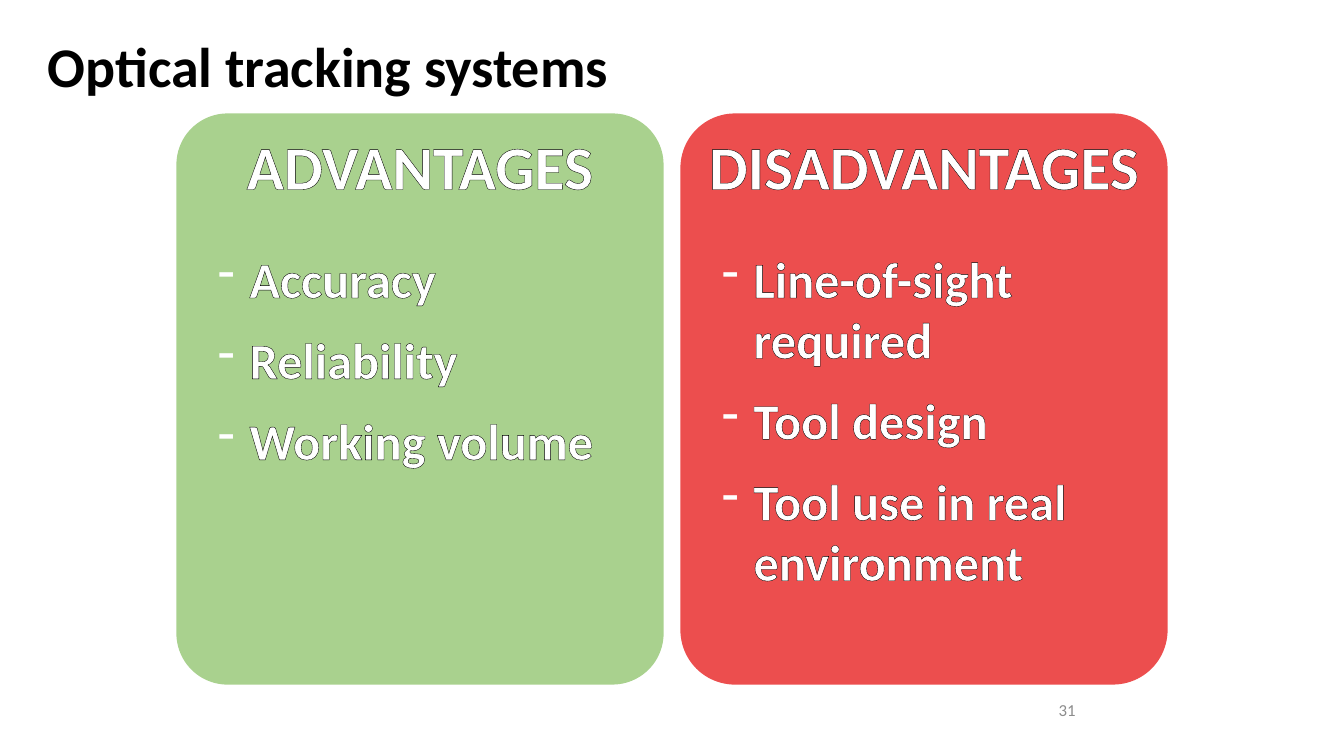
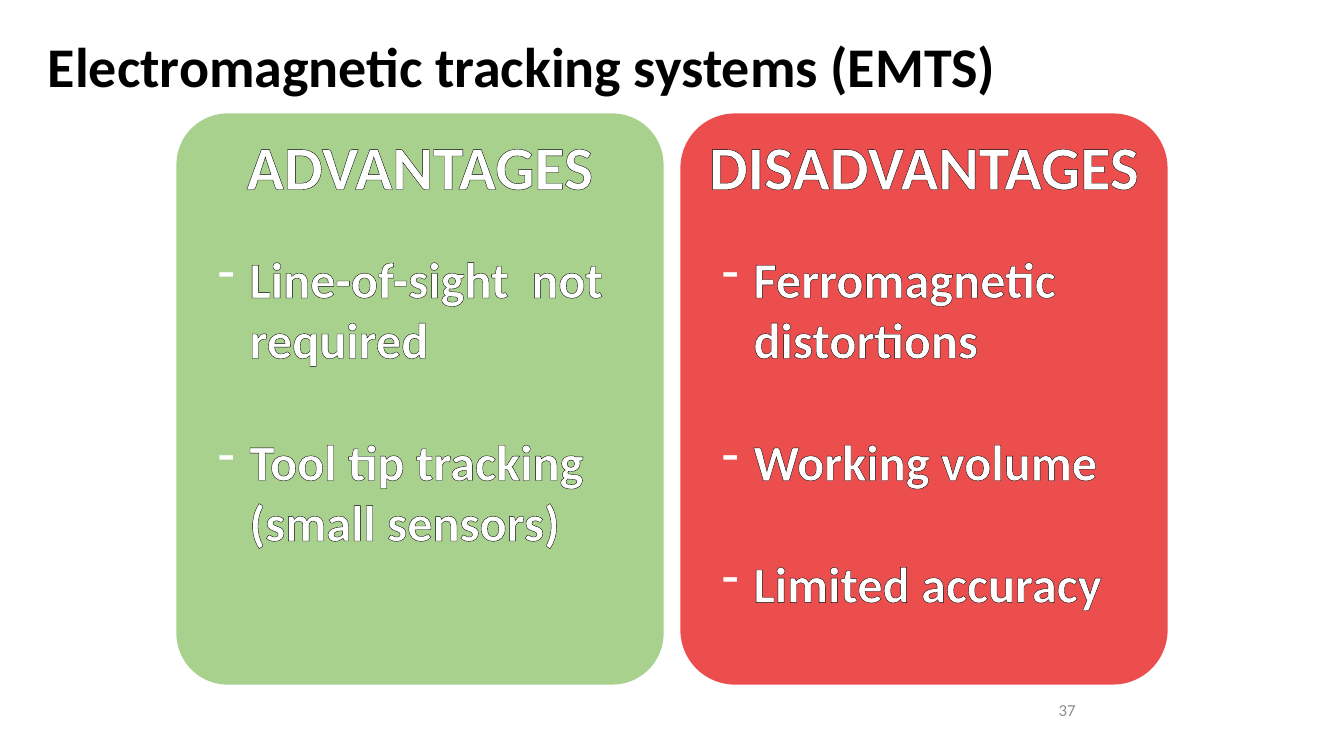
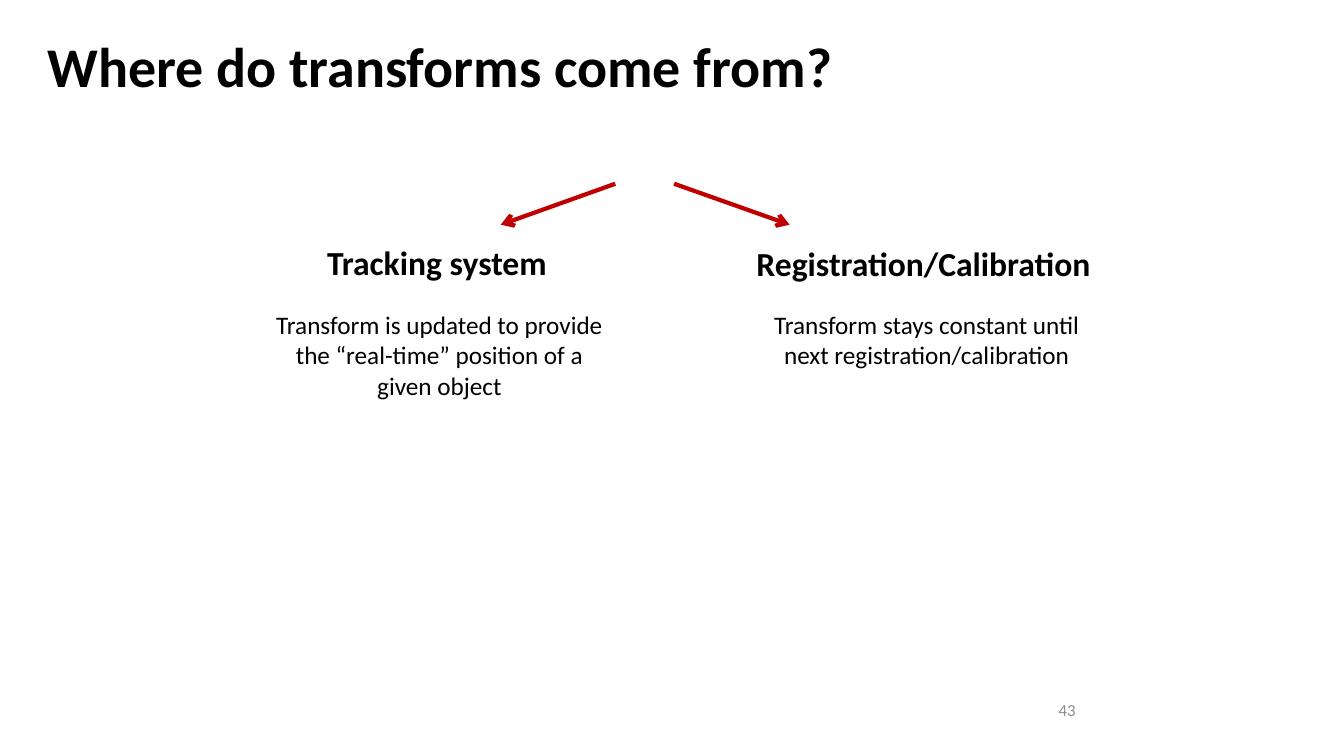
from dataclasses import dataclass

from lxml import etree
from pptx import Presentation
from pptx.dml.color import RGBColor
from pptx.enum.shapes import MSO_CONNECTOR, MSO_SHAPE
from pptx.enum.text import MSO_ANCHOR, MSO_AUTO_SIZE, PP_ALIGN
from pptx.oxml.ns import qn
from pptx.util import Emu, Pt

ROUNDED = MSO_SHAPE.ROUNDED_RECTANGLE
STRAIGHT = MSO_CONNECTOR.STRAIGHT
LEFT, CENTER, RIGHT = PP_ALIGN.LEFT, PP_ALIGN.CENTER, PP_ALIGN.RIGHT
TOP, MIDDLE = MSO_ANCHOR.TOP, MSO_ANCHOR.MIDDLE
NO_AUTOFIT = MSO_AUTO_SIZE.NONE
EMU_PER_PX = 9525
TITLE_ONLY, TWO_CONTENT = 5, 3


@dataclass(frozen=True)
class TextStyle:
    size: int
    color: str
    bold: bool = False
    outlined: bool = False


@dataclass(frozen=True)
class Theme:
    font: str = "Calibri"
    green: str = "A9D18E"
    red: str = "EC4E4E"
    arrow: str = "C00000"
    outline: str = "000000"
    arrow_width: int = 3
    outline_width: float = 0.75
    title: TextStyle = TextStyle(40, "000000", True)
    heading: TextStyle = TextStyle(44, "FFFFFF", True, True)
    item: TextStyle = TextStyle(36, "FFFFFF", True, True)
    label: TextStyle = TextStyle(24, "000000", True)
    description: TextStyle = TextStyle(18, "000000")
    number: TextStyle = TextStyle(12, "8C8C8C")


THEME = Theme()


@dataclass(frozen=True)
class Box:
    left: int
    top: int
    width: int
    height: int


@dataclass(frozen=True)
class Card:
    heading: str
    color: str
    corner: float


@dataclass(frozen=True)
class ItemList:
    items: tuple[str, ...]
    height: int


@dataclass(frozen=True)
class Comparison:
    title: str
    number: int
    gap: float
    lists: tuple[ItemList, ItemList]


@dataclass(frozen=True)
class Source:
    label: str
    label_box: Box
    description: str
    description_box: Box
    arrow_start: int
    arrow_end: int


TITLE_BOX = Box(36, 21, 1198, 91)
NUMBER_BOX = Box(985, 657, 49, 38)
CARD_BOX = Box(168, 108, 464, 544)
CARD_STEP = CARD_BOX.width + 16
HEADING_HEIGHT = 98
LIST_TOP = 231
LIST_INSET = 30
BULLET_INDENT = 30
ARROW_TOP, ARROW_BOTTOM = 175, 214

CARDS = (
    Card("ADVANTAGES", THEME.green, 0.105),
    Card("DISADVANTAGES", THEME.red, 0.112),
)
COMPARISONS = (
    Comparison("Optical tracking systems", 31, 14.6, (
        ItemList(("Accuracy", "Reliability", "Working volume"), 223),
        ItemList(("Line-of-sight required", "Tool design",
                  "Tool use in real environment"), 349),
    )),
    Comparison("Electromagnetic tracking systems (EMTS)", 37, 44, (
        ItemList(("Line-of-sight  not required",
                  "Tool tip tracking (small sensors)"), 300),
        ItemList(("Ferromagnetic distortions", "Working volume",
                  "Limited accuracy"), 359),
    )),
)
SOURCES = (
    Source("Tracking system", Box(302, 226, 230, 48),
           "Transform is updated to provide the “real-time” position of a given object",
           Box(247, 290, 343, 97), 586, 477),
    Source("Registration/Calibration", Box(711, 227, 342, 48),
           "Transform stays constant until next registration/calibration",
           Box(711, 290, 343, 68), 642, 752),
)


def px(length: int) -> Emu:
    return Emu(length * EMU_PER_PX)


def edges(box: Box) -> tuple[Emu, Emu, Emu, Emu]:
    return px(box.left), px(box.top), px(box.width), px(box.height)


def place(shape, box: Box) -> None:
    shape.left, shape.top, shape.width, shape.height = edges(box)


def format_paragraph(paragraph, style: TextStyle, alignment=LEFT) -> None:
    paragraph.alignment = alignment
    for run in paragraph.runs:
        run.font.name = THEME.font
        run.font.size = Pt(style.size)
        run.font.bold = style.bold
        run.font.color.rgb = RGBColor.from_string(style.color)
        if style.outlined:
            line = etree.Element(qn("a:ln"), w=str(Pt(THEME.outline_width)))
            fill = etree.SubElement(line, qn("a:solidFill"))
            etree.SubElement(fill, qn("a:srgbClr"), val=THEME.outline)
            run.font._element.insert(0, line)


def add_text(slide, text: str, box: Box, style: TextStyle, alignment=LEFT,
             anchor=TOP, wrap: bool = True) -> None:
    text_frame = slide.shapes.add_textbox(*edges(box)).text_frame
    text_frame.word_wrap = wrap
    text_frame.vertical_anchor = anchor
    text_frame.text = text
    format_paragraph(text_frame.paragraphs[0], style, alignment)


def add_slide(presentation, layout: int, title: str, number: int):
    slide = presentation.slides.add_slide(presentation.slide_layouts[layout])
    shape = slide.shapes.title
    place(shape, TITLE_BOX)
    text_frame = shape.text_frame
    text_frame.text = title
    text_frame.auto_size = NO_AUTOFIT
    text_frame.vertical_anchor = MIDDLE
    text_frame.paragraphs[0].line_spacing = 0.9
    format_paragraph(text_frame.paragraphs[0], THEME.title)
    add_text(slide, str(number), NUMBER_BOX, THEME.number, RIGHT, MIDDLE)
    return slide


def add_card(slide, card: Card, left: int) -> None:
    box = Box(left, CARD_BOX.top, CARD_BOX.width, CARD_BOX.height)
    shape = slide.shapes.add_shape(ROUNDED, *edges(box))
    shape.adjustments[0] = card.corner
    shape.shadow.inherit = False
    shape.fill.solid()
    shape.fill.fore_color.rgb = RGBColor.from_string(card.color)
    shape.line.fill.background()
    add_text(slide, card.heading, Box(left, box.top, box.width, HEADING_HEIGHT),
             THEME.heading, CENTER, MIDDLE)


def fill_list(slide, placeholder, item_list: ItemList, left: int, gap: float) -> None:
    slide.shapes._spTree.append(placeholder._element)
    place(placeholder, Box(left + LIST_INSET, LIST_TOP,
                           CARD_BOX.width - 2 * LIST_INSET, item_list.height))
    text_frame = placeholder.text_frame
    text_frame.text = "\n".join(item_list.items)
    text_frame.auto_size = NO_AUTOFIT
    text_frame.vertical_anchor = TOP
    for index, paragraph in enumerate(text_frame.paragraphs):
        properties = paragraph._p.get_or_add_pPr()
        properties.set("marL", str(px(BULLET_INDENT)))
        properties.set("indent", str(px(-BULLET_INDENT)))
        etree.SubElement(properties, qn("a:buFontTx"))
        etree.SubElement(properties, qn("a:buChar"), char="-")
        paragraph.space_before = Pt(gap if index else 0)
        format_paragraph(paragraph, THEME.item)


def add_comparison(presentation, comparison: Comparison) -> None:
    slide = add_slide(presentation, TWO_CONTENT, comparison.title, comparison.number)
    placeholders = (slide.placeholders[1], slide.placeholders[2])
    columns = zip(CARDS, placeholders, comparison.lists)
    for index, (card, placeholder, item_list) in enumerate(columns):
        left = CARD_BOX.left + index * CARD_STEP
        add_card(slide, card, left)
        fill_list(slide, placeholder, item_list, left, comparison.gap)


def add_arrow(slide, start: int, end: int) -> None:
    connector = slide.shapes.add_connector(
        STRAIGHT, px(start), px(ARROW_TOP), px(end), px(ARROW_BOTTOM))
    connector.line.color.rgb = RGBColor.from_string(THEME.arrow)
    connector.line.width = Pt(THEME.arrow_width)
    properties = connector._element.spPr
    etree.SubElement(properties.find(qn("a:ln")), qn("a:tailEnd"), type="arrow")
    etree.SubElement(properties, qn("a:effectLst"))


def add_sources(presentation) -> None:
    slide = add_slide(presentation, TITLE_ONLY, "Where do transforms come from?", 43)
    for source in SOURCES:
        add_text(slide, source.label, source.label_box, THEME.label, wrap=False)
        add_arrow(slide, source.arrow_start, source.arrow_end)
        add_text(slide, source.description, source.description_box,
                 THEME.description, CENTER)


def main() -> None:
    presentation = Presentation()
    presentation.slide_width, presentation.slide_height = px(1280), px(720)
    for comparison in COMPARISONS:
        add_comparison(presentation, comparison)
    add_sources(presentation)
    presentation.save("out.pptx")


if __name__ == "__main__":
    main()
